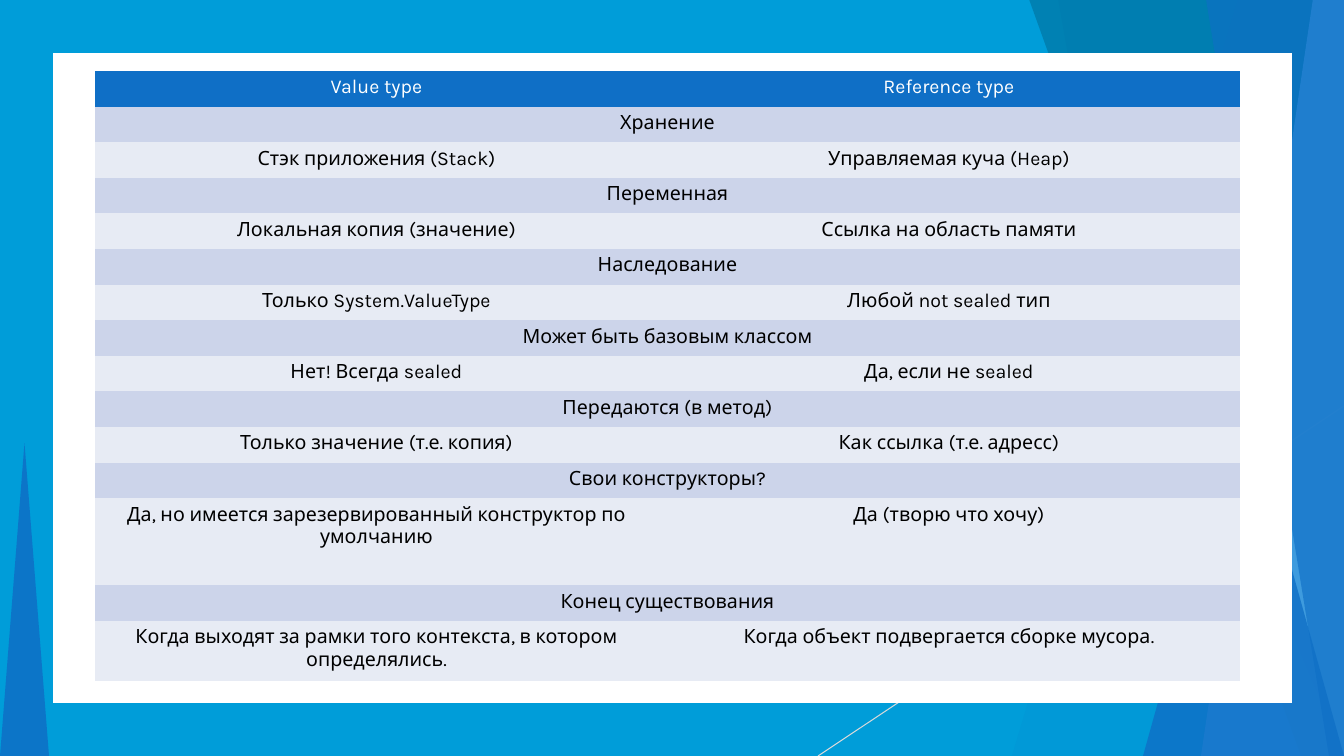
from dataclasses import dataclass

from lxml.etree import SubElement as Sub
from pptx import Presentation
from pptx.dml.color import RGBColor as Rgb
from pptx.enum.shapes import MSO_CONNECTOR as Link, MSO_SHAPE as Form
from pptx.enum.text import MSO_ANCHOR as Anchor, PP_ALIGN as Align
from pptx.oxml.ns import qn
from pptx.shapes.autoshape import Shape
from pptx.shapes.shapetree import GroupShapes as Group, SlideShapes as Shapes
from pptx.table import _Cell as Cell
from pptx.util import Emu, Pt

WIDE, HIGH = 1344, 756
SCALE = 12192000 / WIDE
PLAIN = "{2D5ABB26-0587-4C30-8999-92F81FD0307C}"


@dataclass(frozen=True)
class Theme:
    sky: str = "009DD9"
    blue: str = "0F6FC6"
    deep: str = "0076A3"
    pale: str = "59AAF2"
    grey: str = "D9D9D9"
    white: str = "FFFFFF"
    black: str = "000000"
    band: str = "CCD4EA"
    light: str = "E7EBF4"
    font: str = "Karla"
    size: int = 14


@dataclass(frozen=True)
class Box:
    left: int
    top: int
    width: int
    height: int


@dataclass(frozen=True)
class Ray:
    top: int
    foot: int
    tint: str
    alpha: int


@dataclass(frozen=True)
class Peak:
    box: Box
    tint: str
    alpha: int


@dataclass(frozen=True)
class Topic:
    name: str
    value: str
    refer: str
    height: int = 0


THEME = Theme()
FACETS = [
    Ray(1238, 1012, THEME.blue, 30),
    Ray(1058, 1191, THEME.blue, 20),
    Peak(Box(985, 336, 359, 420), THEME.sky, 72),
    Ray(1029, 1301, THEME.deep, 70),
    Ray(1313, 1201, THEME.pale, 70),
    Ray(1206, 1329, THEME.blue, 65),
    Peak(Box(1143, 396, 201, 360), THEME.blue, 80),
    Peak(Box(0, 443, 49, 313), THEME.blue, 85),
]
HEAD = ("Value type", "Reference type")
TOPICS = [
    Topic("Хранение", "Стэк приложения (Stack)", "Управляемая куча (Heap)"),
    Topic("Переменная", "Локальная копия (значение)", "Ссылка на область памяти"),
    Topic("Наследование", "Только System.ValueType", "Любой not sealed тип"),
    Topic("Может быть базовым классом", "Нет! Всегда sealed", "Да, если не sealed"),
    Topic("Передаются (в метод)", "Только значение (т.е. копия)", "Как ссылка (т.е. адресс)"),
    Topic(
        "Свои конструкторы?",
        "Да, но имеется зарезервированный конструктор по умолчанию",
        "Да (творю что хочу)",
        87,
    ),
    Topic(
        "Конец существования",
        "Когда выходят за рамки того контекста, в котором определялись.",
        "Когда объект подвергается сборке мусора.",
        60,
    ),
]
GRID = Box(95, 71, 1145, 610)
COLS = (563, 582)


def px(size: float) -> Emu:
    return Emu(round(size * SCALE))


def place(box: Box) -> tuple[Emu, ...]:
    return px(box.left), px(box.top), px(box.width), px(box.height)


def paint(shape: Shape, tint: str, alpha: int = 100) -> None:
    shape.shadow.inherit = False
    shape.line.fill.background()
    shape.fill.solid()
    shape.fill.fore_color.rgb = Rgb.from_string(tint)
    if alpha < 100:
        color = shape._element.spPr.find(qn("a:solidFill"))[0]
        Sub(color, qn("a:alpha"), val=str(alpha * 1000))


def panel(shapes: Shapes, box: Box, tint: str) -> None:
    paint(shapes.add_shape(Form.RECTANGLE, *place(box)), tint)


def facet(group: Group, part: Ray | Peak) -> None:
    if isinstance(part, Peak):
        shape = group.add_shape(Form.ISOSCELES_TRIANGLE, *place(part.box))
    else:
        pen = group.build_freeform(part.top, -1, SCALE)
        pen.add_line_segments([(WIDE, -1), (WIDE, HIGH), (part.foot, HIGH)])
        shape = pen.convert_to_shape()
    paint(shape, part.tint, part.alpha)


def decor(shapes: Shapes) -> None:
    group = shapes.add_group_shape().shapes
    line = group.add_connector(Link.STRAIGHT, px(WIDE), px(406), px(818), px(HIGH))
    line.line.color.rgb = Rgb.from_string(THEME.grey)
    line.line.width = Pt(0.75)
    Sub(line._element.spPr, qn("a:effectLst"))
    for part in FACETS:
        facet(group, part)


def fill(cell: Cell, text: str, back: str, ink: str) -> None:
    cell.fill.solid()
    cell.fill.fore_color.rgb = Rgb.from_string(back)
    cell.margin_left = cell.margin_right = px(7)
    cell.margin_top = cell.margin_bottom = px(5)
    cell.vertical_anchor = Anchor.TOP
    cell.text = text
    para = cell.text_frame.paragraphs[0]
    para.alignment = Align.CENTER
    para.font.name = THEME.font
    para.font.size = Pt(THEME.size)
    para.font.bold = False
    para.font.color.rgb = Rgb.from_string(ink)


def compare(shapes: Shapes) -> None:
    count = 1 + 2 * len(TOPICS)
    frame = shapes.add_table(count, len(COLS), *place(GRID))
    table = frame.table
    table.first_row = table.horz_banding = False
    table._tbl.tblPr.find(qn("a:tableStyleId")).text = PLAIN
    for col, width in zip(table.columns, COLS):
        col.width = px(width)

    tall = [topic.height for topic in TOPICS if topic.height]
    step = (GRID.height - sum(tall)) / (count - len(tall))
    for row in table.rows:
        row.height = px(step)
    for col, text in enumerate(HEAD):
        fill(table.cell(0, col), text, THEME.blue, THEME.white)
    for index, topic in enumerate(TOPICS):
        row = 1 + 2 * index
        title = table.cell(row, 0)
        title.merge(table.cell(row, 1))
        fill(title, topic.name, THEME.band, THEME.black)
        for col, text in enumerate((topic.value, topic.refer)):
            fill(table.cell(row + 1, col), text, THEME.light, THEME.black)
        if topic.height:
            table.rows[row + 1].height = px(topic.height)


def main() -> None:
    deck = Presentation()
    deck.slide_width, deck.slide_height = px(WIDE), px(HIGH)
    shapes = deck.slides.add_slide(deck.slide_layouts[6]).shapes
    panel(shapes, Box(0, 0, WIDE, HIGH), THEME.sky)
    decor(shapes)
    panel(shapes, Box(53, 53, 1239, 650), THEME.white)
    compare(shapes)
    deck.save("out.pptx")


if __name__ == "__main__":
    main()
